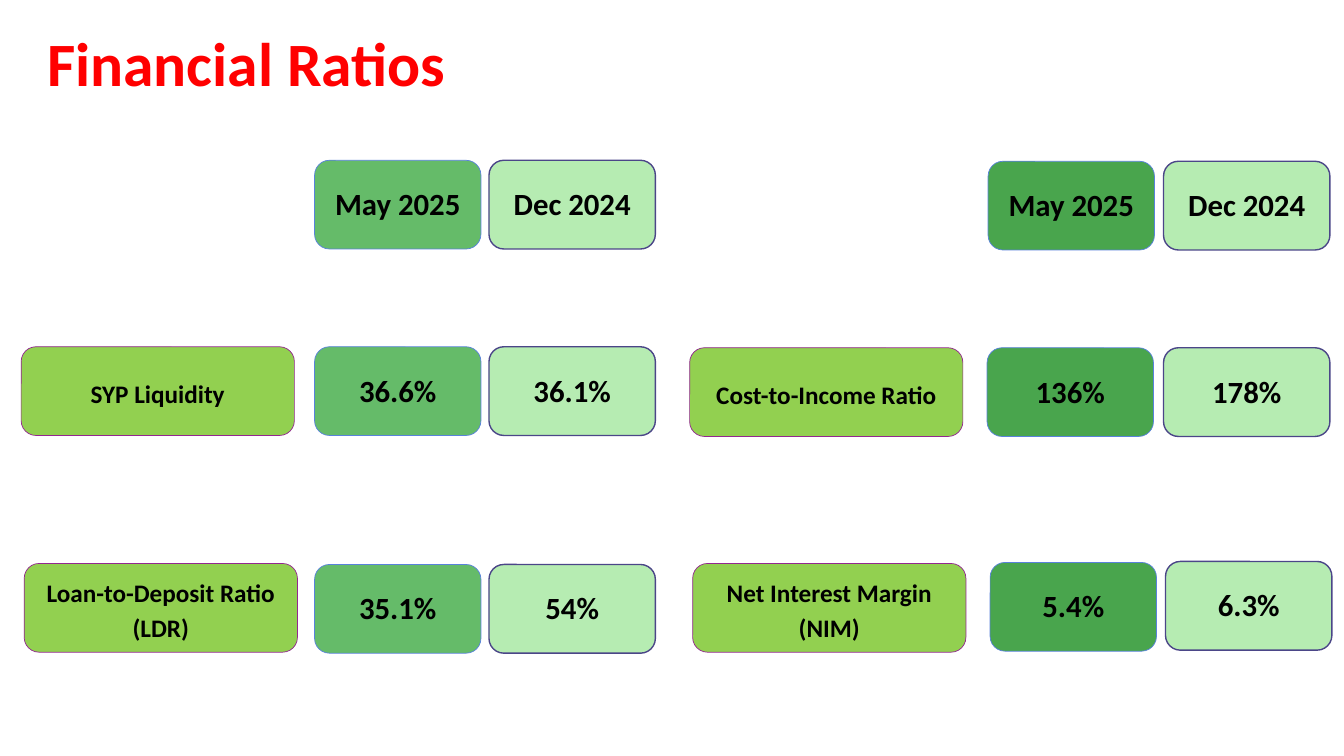
from pptx import Presentation
from pptx.dml.color import RGBColor
from pptx.enum.shapes import MSO_SHAPE
from pptx.enum.text import MSO_ANCHOR, PP_ALIGN
from pptx.util import Pt

PX = 9144  # 100 px to the inch
RED = RGBColor(0xFF, 0x00, 0x00)
BLACK = RGBColor(0x00, 0x00, 0x00)
LIME = RGBColor(0x92, 0xD0, 0x50)
PURPLE = RGBColor(0x92, 0x27, 0x8F)
GREEN = RGBColor(0x65, 0xBB, 0x69)
DARK = RGBColor(0x49, 0xA5, 0x4D)
BLUE = RGBColor(0x59, 0x82, 0xDB)
PALE = RGBColor(0xB6, 0xEC, 0xB2)
INDIGO = RGBColor(0x4B, 0x46, 0x88)


class Board:
    font = "Calibri"
    high = 88

    def __init__(self, slide):
        self.slide = slide

    def style(self, frame, text, size, color, align, space):
        frame.word_wrap = True
        frame.vertical_anchor = MSO_ANCHOR.MIDDLE
        frame.text = text
        for para in frame.paragraphs:
            para.alignment = align
            para.line_spacing = space
            for run in para.runs:
                run.font.name = self.font
                run.font.size = Pt(size)
                run.font.bold = True
                run.font.color.rgb = color

    def title(self, text, left, top, width, height):
        box = self.slide.shapes.add_textbox(
            left * PX, top * PX, width * PX, height * PX)
        self.style(box.text_frame, text, 44, RED, PP_ALIGN.LEFT, 0.9)

    def card(self, text, left, top, width, size, fill, edge, weight):
        box = self.slide.shapes.add_shape(
            MSO_SHAPE.ROUNDED_RECTANGLE,
            left * PX, top * PX, width * PX, self.high * PX)
        box.shadow.inherit = False
        box.fill.solid()
        box.fill.fore_color.rgb = fill
        box.line.color.rgb = edge
        box.line.width = Pt(weight)
        self.style(box.text_frame, text, size, BLACK, PP_ALIGN.CENTER, Pt(24.5))

    def label(self, text, left, top):
        self.card(text, left, top, 271, 18, LIME, PURPLE, 0.5)

    def value(self, text, left, top, fill):
        edge, weight = (INDIGO, 1) if fill == PALE else (BLUE, 0.5)
        self.card(text, left, top, 165, 22, fill, edge, weight)


# Each row: label, then May and Dec as (text, left, top)
LEFT = [
    (None, ("May 2025", 312, 159), ("Dec 2024", 485, 159)),
    (("SYP Liquidity", 21, 344), ("36.6%", 312, 344), ("36.1%", 485, 344)),
    (("Loan-to-Deposit Ratio\n(LDR)", 24, 559),
     ("35.1%", 312, 560), ("54%", 485, 560)),
]
RIGHT = [
    (None, ("May 2025", 980, 160), ("Dec 2024", 1154, 160)),
    (("Cost-to-Income Ratio", 684, 345), ("136%", 979, 345), ("178%", 1154, 345)),
    (("Net Interest Margin (NIM)", 687, 559),
     ("5.4%", 982, 558), ("6.3%", 1156, 557)),
]


def main():
    deck = Presentation()
    deck.slide_width, deck.slide_height = 1333 * PX, 750 * PX
    board = Board(deck.slides.add_slide(deck.slide_layouts[6]))

    # Heading
    board.title("Financial Ratios", 37, 10, 423, 112)

    # Two halves, each with a header row and two ratios
    for rows, fill in ((LEFT, GREEN), (RIGHT, DARK)):
        for name, may, dec in rows:
            if name:
                board.label(*name)
            board.value(*may, fill)
            board.value(*dec, PALE)

    deck.save("out.pptx")


if __name__ == "__main__":
    main()
